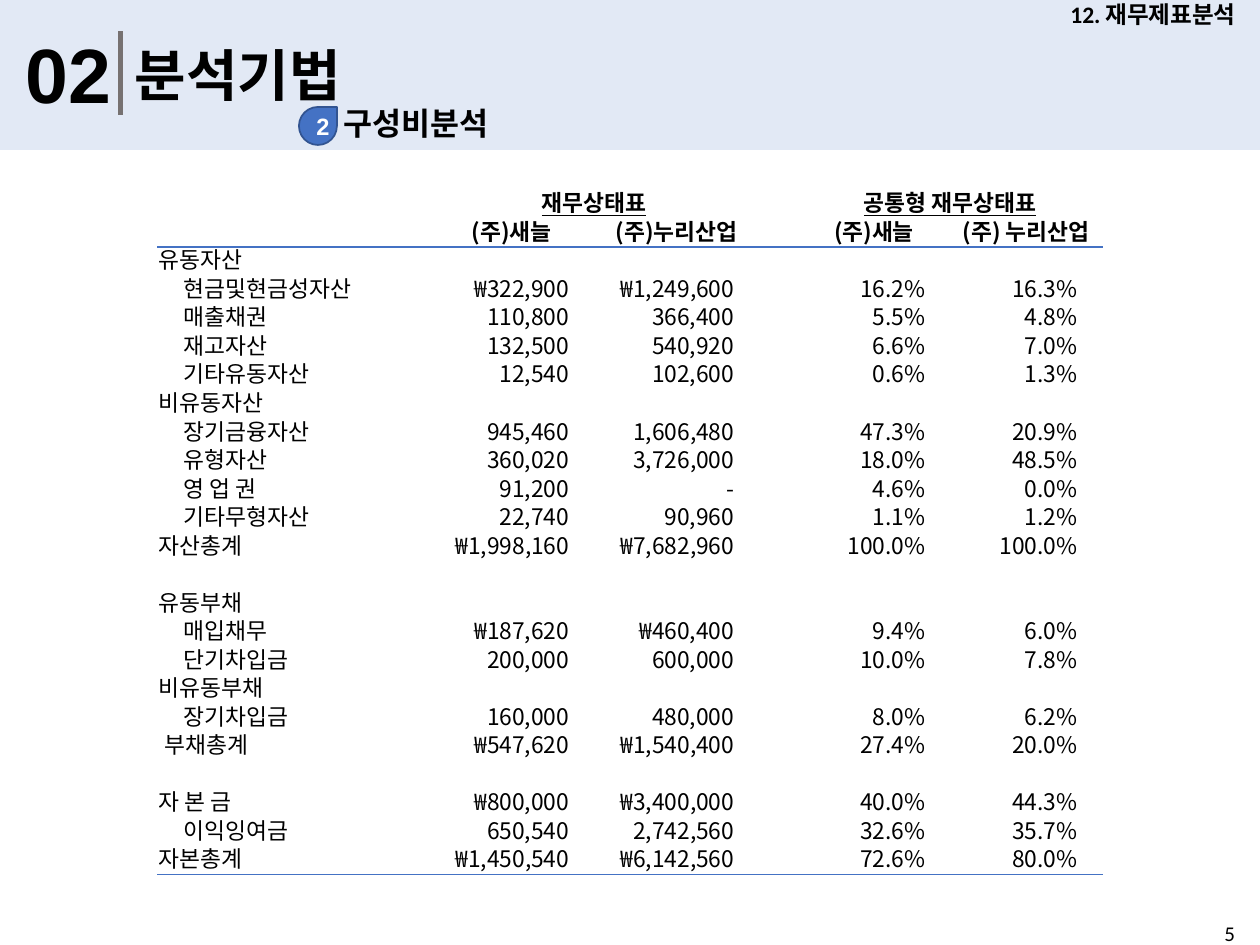
"""Builds the common-size balance sheet slide."""
from lxml import etree
from pptx import Presentation
from pptx.dml.color import RGBColor
from pptx.enum.shapes import MSO_SHAPE
from pptx.enum.text import MSO_ANCHOR, PP_ALIGN
from pptx.oxml.ns import qn
from pptx.util import Pt

PX = 914400 // 126
LEFT, CENTER, RIGHT = PP_ALIGN.LEFT, PP_ALIGN.CENTER, PP_ALIGN.RIGHT
TOP, MIDDLE = MSO_ANCHOR.TOP, MSO_ANCHOR.MIDDLE
RECT, TEARDROP = MSO_SHAPE.RECTANGLE, MSO_SHAPE.TEAR
HANGUL = "Noto Sans CJK KR"
BLACK, BLUE = "000000", "4472C4"


def color(value):
    return RGBColor.from_string(value)


def write(frame, text, size, font, bold=True, ink=BLACK, align=LEFT, anchor=TOP):
    frame.text = text
    frame.vertical_anchor = anchor
    paragraph = frame.paragraphs[0]
    paragraph.alignment = align
    for run in paragraph.runs:
        run.font.size = Pt(size)
        run.font.name = font
        run.font.bold = bold
        run.font.color.rgb = color(ink)
        east_asian = etree.SubElement(run.font._element, qn("a:ea"))
        east_asian.set("typeface", HANGUL)
    return paragraph


presentation = Presentation()
presentation.slide_width = 1260 * PX
presentation.slide_height = 945 * PX
slide = presentation.slides.add_slide(presentation.slide_layouts[5])
shapes = slide.shapes

decorations = []
for kind, left, top, width, height, fill in [
    (RECT, 0, 0, 1260, 150, "DAE3F3"),
    (RECT, 118, 31, 5, 84, "767171"),
    (TEARDROP, 299, 107, 38, 38, BLUE),
]:
    decoration = shapes.add_shape(kind, left * PX, top * PX, width * PX, height * PX)
    decoration.shadow.inherit = False
    decoration.fill.solid()
    decoration.fill.fore_color.rgb = color(fill)
    decoration.line.fill.background()
    decorations.append(decoration)
band, divider, badge = decorations

shapes._spTree.insert(2, band._element)
band_color = band._element.spPr.find(qn("a:solidFill"))[0]
etree.SubElement(band_color, qn("a:alpha")).set("val", "76000")

badge.line.color.rgb = color("325491")
badge.line.width = Pt(1)
badge_frame = badge.text_frame
badge_frame.margin_left = 10 * PX
badge_frame.margin_right = badge_frame.margin_top = badge_frame.margin_bottom = 0
badge_frame.word_wrap = False
write(badge_frame, "2", 13.5, "Arial", ink="FFFFFF", align=CENTER, anchor=MIDDLE)

title = shapes.title
title.left, title.top, title.width, title.height = 122 * PX, 34 * PX, 809 * PX, 81 * PX
write(title.text_frame, "분석기법", 32, "Calibri")

for text, left, top, width, height, size, font, bold, align, anchor in [
    ("02", 13, 20, 115, 106, 44, "Arial", True, LEFT, TOP),
    ("구성비분석", 331, 98, 471, 50, 18, "Calibri", True, LEFT, TOP),
    ("12. 재무제표분석", 1046, 0, 214, 29, 13.5, "Calibri", True, CENTER, MIDDLE),
    ("5", 1212, 914, 48, 31, 12, "Calibri", False, LEFT, TOP),
]:
    label = shapes.add_textbox(left * PX, top * PX, width * PX, height * PX)
    label.text_frame.word_wrap = text != "5"
    write(label.text_frame, text, size, font, bold, align=align, anchor=anchor)

INDENTS = [0, 6, 25]
balance_rows = [
    (0, "", "재무상태표", "", "", "공통형 재무상태표", ""),
    (0, "", "(주)새늘", "(주)누리산업", "", "(주)새늘", "(주) 누리산업"),
    (0, "유동자산"),
    (2, "현금및현금성자산", "₩322,900", "₩1,249,600", "", "16.2%", "16.3%"),
    (2, "매출채권", "110,800", "366,400", "", "5.5%", "4.8%"),
    (2, "재고자산", "132,500", "540,920", "", "6.6%", "7.0%"),
    (2, "기타유동자산", "12,540", "102,600", "", "0.6%", "1.3%"),
    (0, "비유동자산"),
    (2, "장기금융자산", "945,460", "1,606,480", "", "47.3%", "20.9%"),
    (2, "유형자산", "360,020", "3,726,000", "", "18.0%", "48.5%"),
    (2, "영 업 권", "91,200", "-", "", "4.6%", "0.0%"),
    (2, "기타무형자산", "22,740", "90,960", "", "1.1%", "1.2%"),
    (0, "자산총계", "₩1,998,160", "₩7,682,960", "", "100.0%", "100.0%"),
    (0, ""),
    (0, "유동부채"),
    (2, "매입채무", "₩187,620", "₩460,400", "", "9.4%", "6.0%"),
    (2, "단기차입금", "200,000", "600,000", "", "10.0%", "7.8%"),
    (0, "비유동부채"),
    (2, "장기차입금", "160,000", "480,000", "", "8.0%", "6.2%"),
    (1, "부채총계", "₩547,620", "₩1,540,400", "", "27.4%", "20.0%"),
    (0, ""),
    (0, "자 본 금", "₩800,000", "₩3,400,000", "", "40.0%", "44.3%"),
    (2, "이익잉여금", "650,540", "2,742,560", "", "32.6%", "35.7%"),
    (0, "자본총계", "₩1,450,540", "₩6,142,560", "", "72.6%", "80.0%"),
]
column_widths = [271, 165, 165, 39, 152, 152]
last = len(balance_rows) - 1
balance = shapes.add_table(
    len(balance_rows), len(column_widths), 158 * PX, 190 * PX, 944 * PX, 685 * PX
).table
balance.first_row = balance.horz_banding = False
for column, width in zip(balance.columns, column_widths):
    column.width = width * PX

for r, (level, *values) in enumerate(balance_rows):
    balance.rows[r].height = 685 * PX // len(balance_rows)
    values += [""] * (len(column_widths) - len(values))
    for c, value in enumerate(values):
        cell = balance.cell(r, c)
        header = r < 2
        figure = c > 0 and not header
        cell.fill.background()
        cell.margin_left = (1 + (INDENTS[level] if c == 0 else 0)) * PX
        cell.margin_right = (25 if figure else 1) * PX
        cell.margin_top = 1 * PX
        cell.margin_bottom = 0
        align = CENTER if header else RIGHT if figure else LEFT
        entry = write(cell.text_frame, value, 13, HANGUL, header, align=align)
        cell.vertical_anchor = MIDDLE
        entry.line_spacing = Pt(15.5)
        for run in entry.runs:
            run.font.underline = r == 0
        if not value:
            etree.SubElement(entry._p, qn("a:endParaRPr")).set("sz", "1300")
        edge = {1: "a:lnB", 2: "a:lnT", last: "a:lnB"}.get(r)
        if edge:
            border = etree.Element(qn(edge), w="12700")
            paint = etree.SubElement(border, qn("a:solidFill"))
            etree.SubElement(paint, qn("a:srgbClr")).set("val", BLUE)
            cell._tc.get_or_add_tcPr().insert(0, border)

for c in (1, 4):
    balance.cell(0, c).merge(balance.cell(0, c + 1))

presentation.save("out.pptx")
